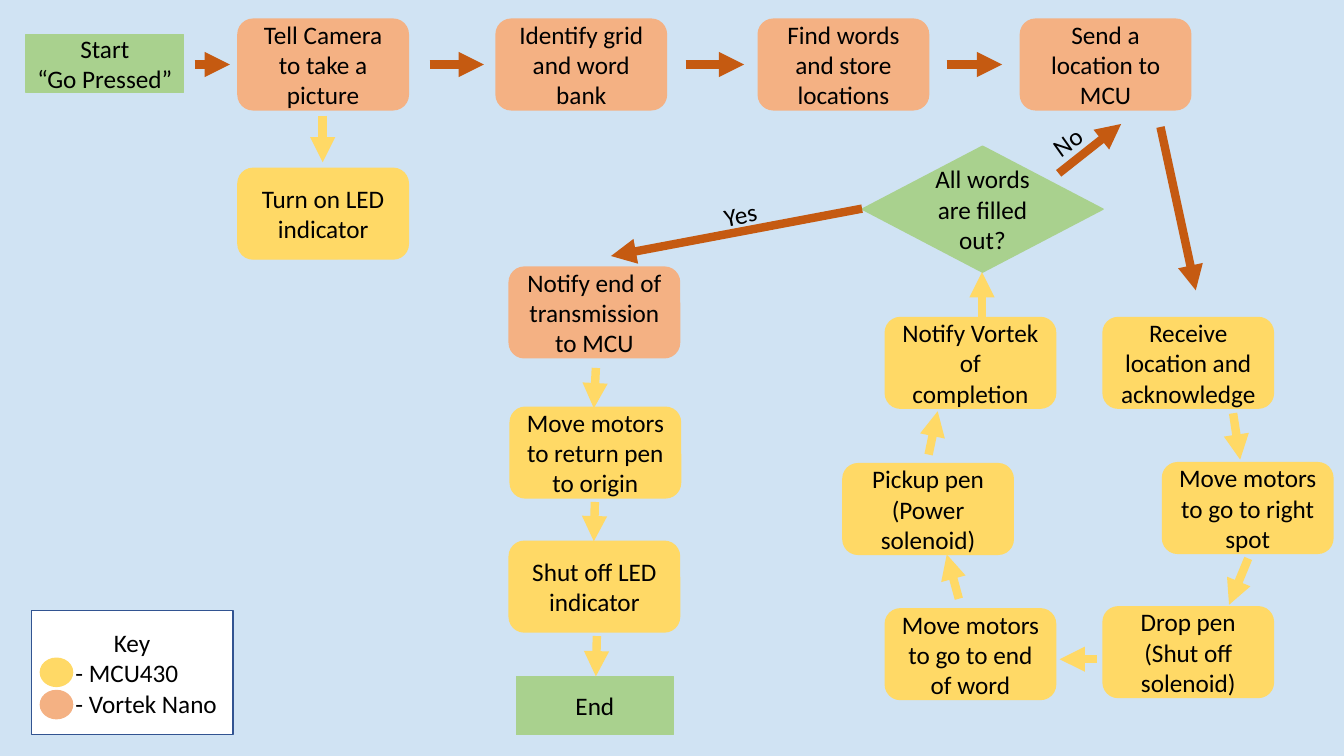
from typing import NamedTuple

from lxml import etree
from pptx import Presentation
from pptx.dml.color import RGBColor
from pptx.enum.shapes import MSO_CONNECTOR, MSO_SHAPE
from pptx.enum.text import MSO_ANCHOR, PP_ALIGN
from pptx.oxml.ns import qn
from pptx.util import Inches, Pt

RECT, ROUND = MSO_SHAPE.RECTANGLE, MSO_SHAPE.ROUNDED_RECTANGLE
DECISION, OVAL = MSO_SHAPE.FLOWCHART_DECISION, MSO_SHAPE.OVAL
STRAIGHT = MSO_CONNECTOR.STRAIGHT
LEFT, CENTER, MIDDLE = PP_ALIGN.LEFT, PP_ALIGN.CENTER, MSO_ANCHOR.MIDDLE

COLORS = {
    "background": "D0E3F3", "text": "000000", "white": "FFFFFF", "key_line": "325491",
    "green": "A9D18E", "orange": "F4B183", "yellow": "FFD966", "brown": "C55A11",
}
STEP_SIZE = (1.69, 0.9)
TERMINAL_SIZE = (1.56, 0.58)
DECISION_SIZE = (2.39, 1.25)
DOT_SIZE = (0.32, 0.28)


class Node(NamedTuple):
    text: str
    left: float
    top: float
    color: str
    kind: MSO_SHAPE = ROUND
    size: tuple[float, float] = STEP_SIZE
    line: str = ""


class Arrow(NamedTuple):
    start: tuple[float, float]
    end: tuple[float, float]
    color: str = "yellow"


class Label(NamedTuple):
    text: str
    left: float
    top: float
    rotation: float


def rgb(name: str) -> RGBColor:
    return RGBColor.from_string(COLORS[name])


def write(tf, text: str, align: PP_ALIGN) -> None:
    tf.word_wrap = True
    tf.text = text
    for p in tf.paragraphs:
        p.alignment = align
        p.font.name, p.font.size = "Calibri", Pt(18)
        p.font.color.rgb = rgb("text")


def add_node(shapes, node: Node):
    sp = shapes.add_shape(node.kind, *map(Inches, (node.left, node.top, *node.size)))
    sp.shadow.inherit = False
    sp.fill.solid()
    sp.fill.fore_color.rgb = rgb(node.color)
    sp.line.color.rgb = rgb(node.line or node.color)
    sp.line.width = Pt(1)
    if node.text:
        sp.text_frame.vertical_anchor = MIDDLE
        write(sp.text_frame, node.text, CENTER)
    return sp


def add_arrow(shapes, arrow: Arrow) -> None:
    cxn = shapes.add_connector(STRAIGHT, *map(Inches, (*arrow.start, *arrow.end)))
    cxn.line.color.rgb = rgb(arrow.color)
    cxn.line.width = Pt(6)
    etree.SubElement(cxn.line._get_or_add_ln(), qn("a:tailEnd"), type="triangle")
    etree.SubElement(cxn._element.spPr, qn("a:effectLst"))


def add_label(shapes, label: Label) -> None:
    sp = shapes.add_textbox(*map(Inches, (label.left, label.top, 0.6, 0.4)))
    sp.rotation = label.rotation
    write(sp.text_frame, label.text, LEFT)


prs = Presentation()
prs.slide_width, prs.slide_height = Inches(13.33), Inches(7.5)
slide = prs.slides.add_slide(prs.slide_layouts[6])
slide.background.fill.solid()
slide.background.fill.fore_color.rgb = rgb("background")

# Top row: evenly spaced steps on the vision board
top_steps = ["Tell Camera to take a picture", "Identify grid and word bank",
             "Find words and store locations", "Send a location to MCU"]
top_lefts = [2.36] + [4.92 + 2.6 * i for i in range(3)]
nodes = [Node(text, left, 0.19, "orange") for text, left in zip(top_steps, top_lefts)]

# Start, decision, end and the remaining steps
nodes += [
    Node("Start\n“Go Pressed”", 0.26, 0.34, "green", RECT, TERMINAL_SIZE),
    Node("Turn on LED indicator", 2.36, 1.67, "yellow"),
    Node("Receive location and acknowledge", 10.94, 3.15, "yellow"),
    Node("Move motors to go to right spot", 11.53, 4.59, "yellow"),
    Node("Drop pen (Shut off solenoid)", 10.94, 6.02, "yellow"),
    Node("Move motors to go to end of word", 8.78, 6.04, "yellow"),
    Node("Pickup pen (Power solenoid)", 8.36, 4.6, "yellow"),
    Node("Notify Vortek of completion", 8.78, 3.15, "yellow"),
    Node("All words are filled out?", 8.55, 1.45, "green", DECISION, DECISION_SIZE),
    Node("Notify end of transmission to MCU", 5.05, 2.65, "orange"),
    Node("Move motors to return pen to origin", 5.06, 4.04, "yellow"),
    Node("Shut off LED indicator", 5.05, 5.37, "yellow"),
    Node("End", 5.12, 6.71, "green", RECT, TERMINAL_SIZE),
]
for node in nodes:
    add_node(slide.shapes, node)

# Arrows: brown from the vision board, yellow from the controller
top_spans = [(1.93, 2.28), (4.26, 4.8), (6.8, 7.38), (9.39, 9.94)]
arrows = [Arrow((x1, 0.64), (x2, 0.64), "brown") for x1, x2 in top_spans]
arrows += [
    Arrow((8.55, 2.07), (6.06, 2.54), "brown"),
    Arrow((10.5, 1.72), (11.12, 1.23), "brown"),
    Arrow((11.51, 1.26), (11.86, 2.88), "brown"),
    Arrow((3.2, 1.15), (3.2, 1.61)),
    Arrow((12.23, 4.1), (12.3, 4.56)),
    Arrow((12.38, 5.54), (12.19, 6)),
    Arrow((10.88, 6.54), (10.51, 6.54)),
    Arrow((9.51, 5.94), (9.39, 5.5)),
    Arrow((9.21, 4.51), (9.3, 4.08)),
    Arrow((9.74, 3.23), (9.74, 2.7)),
    Arrow((5.91, 3.65), (5.89, 4.05)),
    Arrow((5.9, 4.98), (5.89, 5.37)),
    Arrow((5.92, 6.31), (5.91, 6.71)),
]
for arrow in arrows:
    add_arrow(slide.shapes, arrow)

# Branch labels
for label in (Label("Yes", 7.08, 1.92, -11.3), Label("No", 10.33, 1.17, -35.4)):
    add_label(slide.shapes, label)

# Key: entries are indented to clear the colour dots
key = slide.shapes.add_group_shape()
key_box = add_node(key.shapes, Node("Key\n- MCU430\n- Vortek Nano", 0.31, 6.06, "white",
                                    RECT, (2, 1.23), "key_line"))
for p in key_box.text_frame.paragraphs[1:]:
    p.alignment = LEFT
    p._p.get_or_add_pPr().set("marL", str(Inches(0.34)))
for color, top in (("yellow", 6.53), ("orange", 6.85)):
    add_node(key.shapes, Node("", 0.4, top, color, OVAL, DOT_SIZE))

prs.save("out.pptx")
